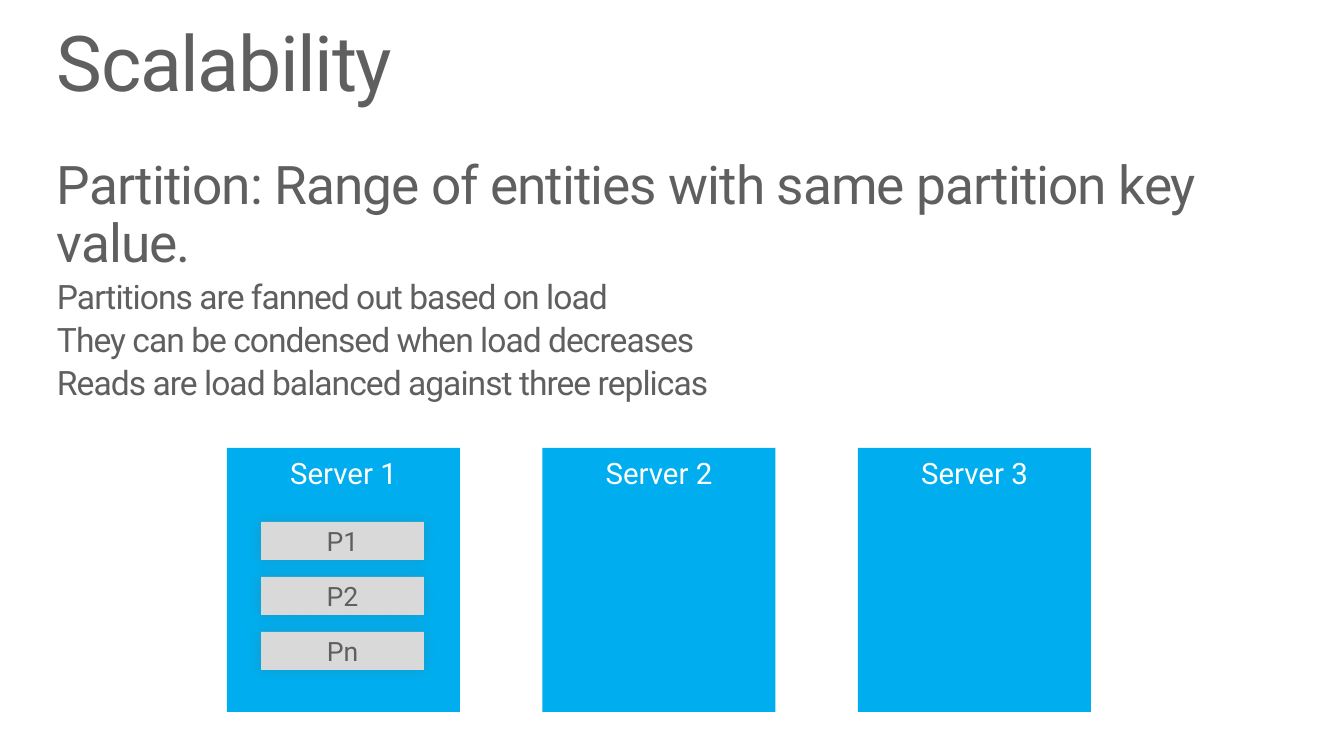
from lxml import etree
from pptx import Presentation
from pptx.dml.color import RGBColor
from pptx.enum.shapes import MSO_SHAPE
from pptx.enum.text import MSO_ANCHOR, PP_ALIGN
from pptx.oxml.ns import qn
from pptx.util import Emu, Pt

RECTANGLE = MSO_SHAPE.RECTANGLE
TOP, MIDDLE = MSO_ANCHOR.TOP, MSO_ANCHOR.MIDDLE
CENTER = PP_ALIGN.CENTER
EMU_PER_PX = 914400 / 100.8
FONT = "Roboto"
COLORS = {"text": "5F5F5F", "server": "00AEEF", "partition": "D9D9D9", "white": "FFFFFF"}
DETAILS = [
    "Partitions are fanned out based on load",
    "They can be condensed when load decreases",
    "Reads are load balanced against three replicas",
]
SERVERS = ["Server 1", "Server 2", "Server 3"]
PARTITIONS = ["P1", "P2", "Pn"]


def px(length):
    return Emu(round(length * EMU_PER_PX))


def color(name):
    return RGBColor.from_string(COLORS[name])


def style_paragraph(paragraph, size, color_name):
    paragraph.font.name = FONT
    paragraph.font.size = Pt(size)
    paragraph.font.color.rgb = color(color_name)


def set_margins(frame, horizontal, vertical):
    frame.margin_left = frame.margin_right = px(horizontal)
    frame.margin_top = frame.margin_bottom = px(vertical)
    frame.word_wrap = True


def add_text(slide, box, lines):
    frame = slide.shapes.add_textbox(*map(px, box)).text_frame
    set_margins(frame, 0, 0)
    for index, (text, size, tracking) in enumerate(lines):
        paragraph = frame.add_paragraph() if index else frame.paragraphs[0]
        run = paragraph.add_run()
        run.text = text
        run._r.get_or_add_rPr().set("spc", str(tracking))
        paragraph.line_spacing = 0.9
        if index:
            paragraph.space_before = Pt(size * 0.2)
        style_paragraph(paragraph, size, "text")


def add_block(slide, box, text, size, fill, text_color, anchor):
    shape = slide.shapes.add_shape(RECTANGLE, *map(px, box))
    shape.shadow.inherit = False
    shape.fill.solid()
    shape.fill.fore_color.rgb = color(fill)
    shape.line.fill.background()
    frame = shape.text_frame
    set_margins(frame, 13, 7)
    frame.vertical_anchor = anchor
    paragraph = frame.paragraphs[0]
    paragraph.text = text
    paragraph.alignment = CENTER
    style_paragraph(paragraph, size, text_color)
    return shape


def add_glow_shadow(shape):
    effects = shape._element.spPr.find(qn("a:effectLst"))
    shadow = etree.SubElement(effects, qn("a:outerShdw"), blurRad=str(Pt(10)), dist="0",
                              dir="0", algn="ctr", rotWithShape="0")
    tint = etree.SubElement(shadow, qn("a:srgbClr"), val=COLORS["text"])
    etree.SubElement(tint, qn("a:alpha"), val="26000")


def add_partitions(slide, box):
    left, top, width, height = box
    bar_height = 38
    pitch = (height - bar_height) / (len(PARTITIONS) - 1)
    for index, name in enumerate(PARTITIONS):
        bar = (left, top + index * pitch, width, bar_height)
        add_glow_shadow(add_block(slide, bar, name, 19, "partition", "text", MIDDLE))


def add_servers(slide, box):
    left, top, width, height = box
    server_width = 233
    pitch = (width - server_width) / (len(SERVERS) - 1)
    for index, name in enumerate(SERVERS):
        server = (left + index * pitch, top, server_width, height)
        add_block(slide, server, name, 21, "server", "white", TOP)
    add_partitions(slide, (left + 34, top + 74, 163, 148))


def build_scalability_slide(slide, box):
    left, top, width, height = box
    add_text(slide, (left + 57, top + 25, width - 114, 84), [("Scalability", 55, -100)])
    body = [("Partition: Range of entities with same partition key value.", 38, -70)]
    body += [(detail, 24, -70) for detail in DETAILS]
    add_text(slide, (left + 57, top + 159, width - 115, 193), body)
    add_servers(slide, (left + 227, top + 448, 864, height - 492))


def main():
    presentation = Presentation()
    presentation.slide_width, presentation.slide_height = px(1344), px(756)
    slide = presentation.slides.add_slide(presentation.slide_layouts[6])
    build_scalability_slide(slide, (0, 0, 1344, 756))
    presentation.save("out.pptx")


if __name__ == "__main__":
    main()
